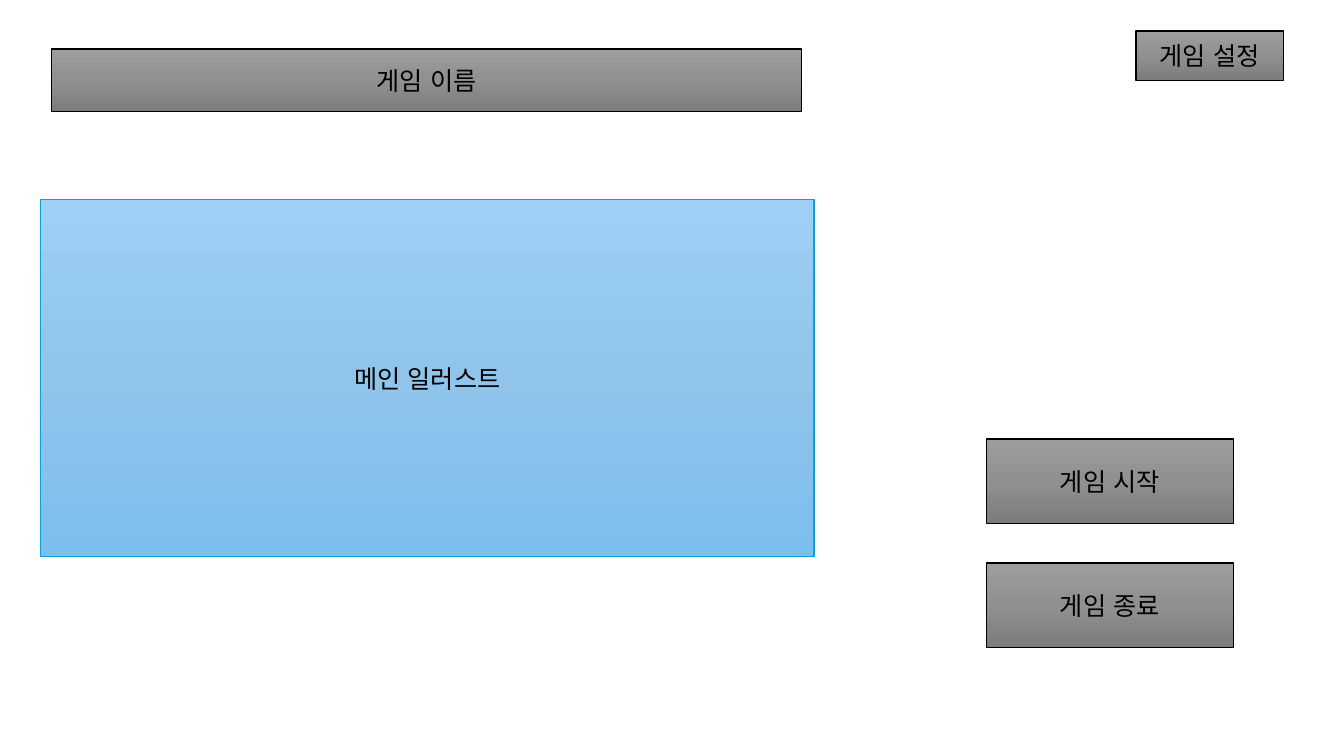
"""Build the wireframe of a game's title screen."""
from copy import deepcopy

from lxml import etree
from pptx import Presentation, util as u
from pptx.dml.color import RGBColor
from pptx.enum import lang, shapes, text
from pptx.oxml.ns import qn

FONT = "Noto Sans CJK KR"
BLACK = RGBColor(0x00, 0x00, 0x00)
BLUE = RGBColor(0x0F, 0x9E, 0xD5)
GREY_STOPS = [RGBColor(0x9D, 0x9D, 0x9D), RGBColor(0x90, 0x90, 0x90), RGBColor(0x7C, 0x7C, 0x7C)]
BLUE_STOPS = [RGBColor(0x9E, 0xCF, 0xF5), RGBColor(0x90, 0xC4, 0xEB), RGBColor(0x7C, 0xBE, 0xED)]
SPAN_FORMAT = {"name": FONT, "size": u.Pt(18), "language_id": lang.MSO_LANGUAGE_ID.KOREAN}

BUTTON_LEFT, BUTTON_WIDTH, BUTTON_HEIGHT = 24.86, 6.22, 2.13
BUTTON_TOP, BUTTON_STEP = 11.06, 3.13

deck = Presentation()
deck.slide_width, deck.slide_height = u.Cm(33.87), u.Cm(19.05)
page = deck.slides.add_slide(deck.slide_layouts[6])

panels = [
    ("게임 이름", (1.3, 1.24, 18.9, 1.57), GREY_STOPS, BLACK),
    ("게임 설정", (28.63, 0.78, 3.71, 1.25), GREY_STOPS, BLACK),
    ("메인 일러스트", (1.02, 5.03, 19.5, 8.99), BLUE_STOPS, BLUE),
]
for row, label in enumerate(["게임 시작", "게임 종료"]):
    top = BUTTON_TOP + row * BUTTON_STEP
    panels.append((label, (BUTTON_LEFT, top, BUTTON_WIDTH, BUTTON_HEIGHT), GREY_STOPS, BLACK))

for label, frame, stops, outline in panels:
    box = page.shapes.add_shape(shapes.MSO_SHAPE.RECTANGLE, *[u.Cm(length) for length in frame])
    box.shadow.inherit = False
    box.line.color.rgb = outline
    box.line.width = u.Pt(1)

    box.fill.gradient()
    box.fill.gradient_angle = 270
    stop_list = box.element.spPr.find(f"{qn('a:gradFill')}/{qn('a:gsLst')}")
    stop_list.insert(1, deepcopy(stop_list[0]))
    for index, (stop, color) in enumerate(zip(box.fill.gradient_stops, stops)):
        stop.position = index / 2
        stop.color.rgb = color

    box.text_frame.vertical_anchor = text.MSO_ANCHOR.MIDDLE
    para = box.text_frame.paragraphs[0]
    para.alignment = text.PP_ALIGN.CENTER
    span = para.add_run()
    span.text = label
    span.font.color.rgb = BLACK
    for key, value in SPAN_FORMAT.items():
        setattr(span.font, key, value)
    etree.SubElement(span.font._element, qn("a:ea"), typeface=FONT)

deck.save("out.pptx")
